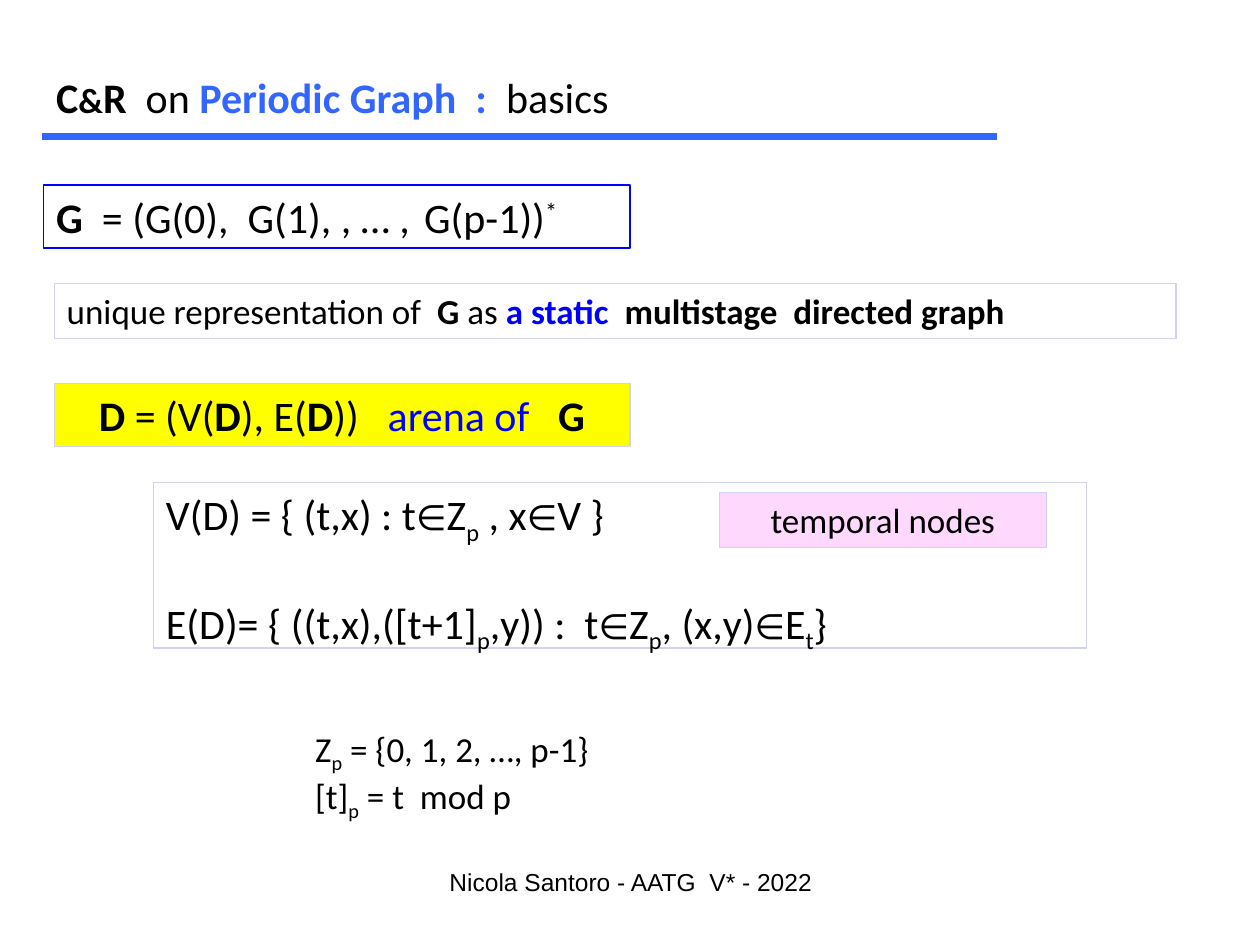
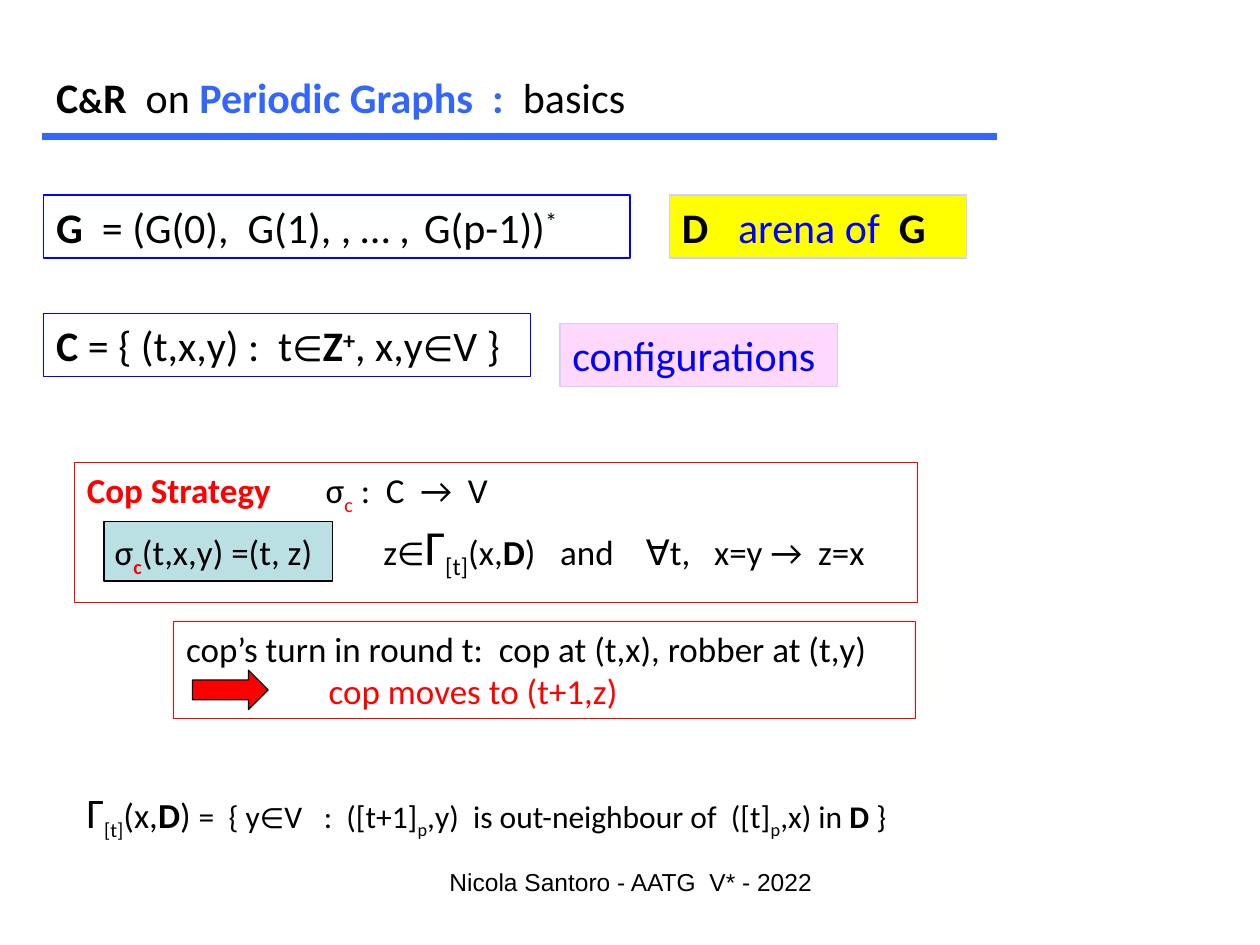
"""Build two slides on Cops and Robbers in periodic graphs."""
from dataclasses import dataclass

from lxml import etree
from pptx import Presentation
from pptx.dml.color import RGBColor
from pptx.enum.shapes import MSO_CONNECTOR, MSO_SHAPE
from pptx.enum.text import MSO_ANCHOR, PP_ALIGN
from pptx.oxml.ns import qn
from pptx.util import Pt

RECT, ARROW = MSO_SHAPE.RECTANGLE, MSO_SHAPE.RIGHT_ARROW
STRAIGHT = MSO_CONNECTOR.STRAIGHT
TOP = MSO_ANCHOR.TOP
LEFT, CENTER = PP_ALIGN.LEFT, PP_ALIGN.CENTER


@dataclass(frozen=True)
class Theme:
    font: str = "Calibri"
    footer_font: str = "Arial"
    text: str = "000000"
    accent: str = "3366FF"
    blue: str = "0000FF"
    red: str = "FF0000"
    pale: str = "D1D1F0"
    yellow: str = "FFFF00"
    pink: str = "FFD8FE"
    teal: str = "BBE0E3"
    formula: int = 24
    body: int = 20
    note: int = 18
    footer: int = 14
    hairline: float = 0.75
    rule: float = 4


T = Theme()
BOLD = {"bold": True}
BLUE = {"color": T.blue}
RED = {"color": T.red}
SUB = {"base": -25}
SUP = {"base": 30}
D, G = ("D", BOLD), ("G", BOLD)
SUB_P = ("p", SUB)
IN = ("∈", {"size": T.body})
SEQUENCE = [G, "  = (G(0),  G(1), , … ,", ("  ", {"size": T.note}), "G(p-1))", ("*", SUP)]


def rgb(value):
    return RGBColor.from_string(value)


def add_run(p, text, size, color=T.text, bold=False, base=0, font=T.font):
    r = p.add_run()
    r.text = text
    for name, value in {"name": font, "size": Pt(size), "bold": bold}.items():
        setattr(r.font, name, value)
    r.font.color.rgb = rgb(color)
    if base:
        r._r.get_or_add_rPr().set("baseline", str(base * 1000))


def add_tabs(p, stops):
    tab_list = etree.SubElement(p._p.get_or_add_pPr(), qn("a:tabLst"))
    for stop in stops:
        etree.SubElement(tab_list, qn("a:tab"), pos=str(Pt(stop)), algn="l")


def write(sp, paragraphs, size, align=LEFT, tabs=(), gap=0, **defaults):
    """Fill a shape; a paragraph is a list of strings or (string, format) pairs."""
    tf = sp.text_frame
    for name, value in {"word_wrap": True, "vertical_anchor": TOP}.items():
        setattr(tf, name, value)
    for i, runs in enumerate(paragraphs):
        p = tf.add_paragraph() if i else tf.paragraphs[0]
        if i < len(tabs):
            add_tabs(p, tabs[i])
        p.alignment = align
        if i and gap:
            p.space_before = Pt(gap)
        for run in runs:
            text, style = (run, {}) if isinstance(run, str) else run
            add_run(p, text, **({"size": size} | defaults | style))


def add_panel(shapes, place, line, fill=None, kind=RECT):
    sp = shapes.add_shape(kind, *map(Pt, place))
    sp.shadow.inherit = False
    if fill:
        sp.fill.solid()
        sp.fill.fore_color.rgb = rgb(fill)
    else:
        sp.fill.background()
    sp.line.color.rgb = rgb(line)
    sp.line.width = Pt(T.hairline)
    return sp


def add_box(shapes, place, paragraphs, size=T.formula, line=T.pale, fill=None, **layout):
    write(add_panel(shapes, place, line, fill), paragraphs, size, **layout)


def add_text(shapes, place, paragraphs, size, **layout):
    write(shapes.add_textbox(*map(Pt, place)), paragraphs, size, **layout)


def add_rule(shapes):
    line = shapes.add_connector(STRAIGHT, Pt(24), Pt(78), Pt(570), Pt(78))
    line.line.color.rgb = rgb(T.accent)
    line.line.width = Pt(T.rule)
    etree.SubElement(line._element.spPr, qn("a:effectLst"))


def add_frame(shapes, topic):
    """Add the title, the rule below it and the footer."""
    add_rule(shapes)
    title = [("C", BOLD), ("&", BOLD | {"size": T.body}), ("R  ", BOLD), "on ",
             (f"{topic}  :  ", BOLD | {"color": T.accent}), "basics"]
    add_text(shapes, (25, 37.5, 564, 65.5), [title], T.formula)
    add_text(shapes, (246.5, 492, 228, 36), [["Nicola Santoro - AATG  V* - 2022"]],
             T.footer, align=CENTER, font=T.footer_font)


def add_sequence(shapes, top):
    add_box(shapes, (25, top, 335, 36), [SEQUENCE], line=T.blue)


def build_arena(shapes):
    add_frame(shapes, "Periodic Graph")
    add_sequence(shapes, 105.75)
    add_box(shapes, (31, 162, 641, 31.5),
            [["unique representation of  ", ("G ", BOLD), "as ",
              ("a static  ", BOLD | BLUE), ("multistage  directed graph", BOLD)]], T.body)
    add_box(shapes, (31, 219, 329, 36),
            [["\t", D, " = (V(", D, "), E(", D, "))", ("\tarena of\t", BLUE), G]],
            fill=T.yellow, tabs=[(18.4, 183.5, 280.8)])
    add_box(shapes, (411, 281.5, 187, 31.5), [["temporal nodes"]], T.body,
            fill=T.pink, align=CENTER)
    vertices = ["V(D) = { (t,x) : t", IN, "Z", SUB_P, " , x", IN, "V }"]
    edges = ["E(D)= { ((t,x),([t+1]", SUB_P, ",y)) :  t", IN, "Z", SUB_P,
             ", (x,y)", IN, "E", ("t", SUB), "}"]
    add_box(shapes, (87.75, 275.75, 533, 94.5), [vertices, edges], gap=29.3)
    add_text(shapes, (173, 412, 244, 55.5),
             [["Z", SUB_P, " = {0, 1, 2, …, p-1}"], ["[t]", SUB_P, " = t  mod p"]], T.body)


def build_strategy(shapes):
    add_panel(shapes, (59.5, 298, 130.5, 34), T.text, T.teal)
    add_frame(shapes, "Periodic Graphs")
    add_box(shapes, (382.5, 111.5, 170, 36), [[D, ("\tarena of  ", BLUE), G]],
            fill=T.yellow, tabs=[(32.2,)])
    add_box(shapes, (25, 179.25, 278, 36),
            [[("C", BOLD), " = { (t,x,y) :  t", IN, ("Z", BOLD), ("+", BOLD | SUP),
              ", x,y", IN, "V }"]], line=T.blue)
    add_sequence(shapes, 111.5)
    add_box(shapes, (320, 185, 158.5, 36), [[("configurations", BLUE)]], fill=T.pink)

    signature = [("Cop Strategy", BOLD | RED), "\tσ", ("c", RED | SUB), " :  C  →  V"]
    move = ["\tσ", ("c", RED | BOLD | SUB), "(t,x,y) =(t, z)\tz", ("∈", {"size": 18}),
            ("Γ", {"size": 28}), ("[t]", SUB | {"size": T.formula}), "(x,", D,
            ")\tand\t∀t,\tx=y →  z=x"]
    add_box(shapes, (42.5, 264.25, 481.75, 80), [signature, move], T.body, T.red,
            tabs=[(136.5,), (16, 169.5, 270.5, 319.5, 358.5)])

    turn = shapes.add_group_shape().shapes
    add_box(turn, (99.25, 355, 424, 55.5),
            [["cop’s turn in round t:  cop at (t,x), robber at (t,y)"],
             [("\tcop moves to (t+1,z)", RED)]], T.body, T.red, tabs=[(), (81.5,)])
    add_panel(turn, (110, 383, 43.25, 22.5), T.text, T.red, ARROW)

    large = {"size": T.body}
    neighbours = [("Γ", {"size": T.formula}), ("[t]", large | SUB), ("(x,", large),
                  ("D", large | BOLD), (") ", large), "=  { y", ("∈", {"size": 16}),
                  "V\t:  ([t+1]", SUB_P, ",y)  is out-neighbour of  ([t]", SUB_P,
                  ",x) in ", D, " }"]
    add_text(shapes, (42.5, 445.75, 499, 36), [neighbours], T.note, tabs=[(135.5,)])


def main():
    prs = Presentation()
    prs.slide_width, prs.slide_height = Pt(720), Pt(540)
    for build in (build_arena, build_strategy):
        s = prs.slides.add_slide(prs.slide_layouts[6])
        build(s.shapes)
    prs.save("out.pptx")


if __name__ == "__main__":
    main()
